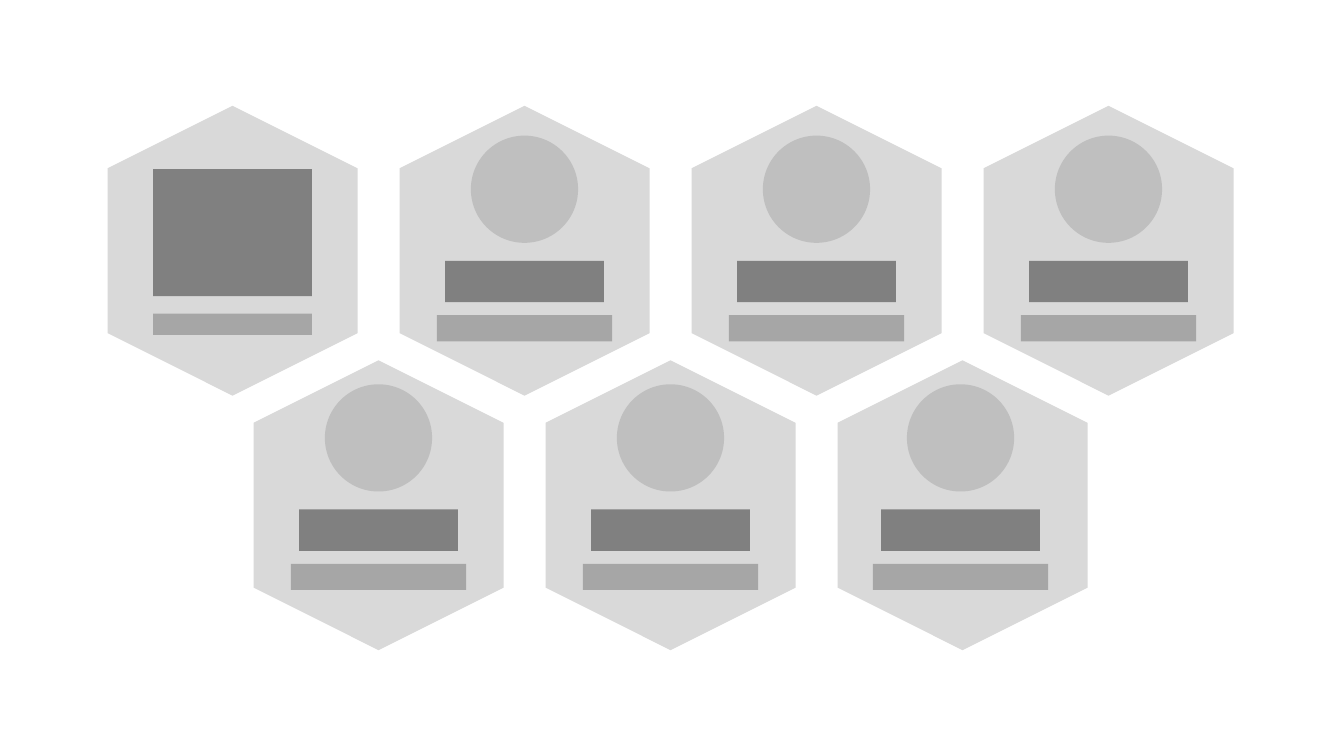
from pptx import Presentation
from pptx.dml.color import RGBColor
from pptx.enum.shapes import MSO_SHAPE
from pptx.util import Pt

HEXAGON, RECTANGLE, OVAL = MSO_SHAPE.HEXAGON, MSO_SHAPE.RECTANGLE, MSO_SHAPE.OVAL
PALE = RGBColor(0xD9, 0xD9, 0xD9)
LIGHT = RGBColor(0xBF, 0xBF, 0xBF)
MEDIUM = RGBColor(0xA6, 0xA6, 0xA6)
DARK = RGBColor(0x80, 0x80, 0x80)

FIRST_X, PITCH = 166.1, 208.57
HEX_LENGTH, HEX_WIDTH = 207, 178.6
# Hexagon count, start in pitches, hexagon centre y, portrait centre y
ROWS = [(4, 0, 179.1, 135.2), (3, 0.5, 360.9, 312.8)]
LAST_CARD_SHIFT = -1.4

# Shape, vertical offset of centre, width, height, colour
TITLE_PARTS = [
    (RECTANGLE, -12.9, 113.3, 90.6, DARK),
    (RECTANGLE, 52.6, 113.3, 15.2, MEDIUM),
]
CARD_PARTS = [
    (RECTANGLE, 65.9, 113.3, 29.6, DARK),
    (RECTANGLE, 99.3, 125.3, 18.7, MEDIUM),
    (OVAL, 0, 76.6, 76.6, LIGHT),
]


def add_centred(shapes, kind, x, y, width, height, colour):
    shape = shapes.add_shape(kind, Pt(x - width / 2), Pt(y - height / 2),
                             Pt(width), Pt(height))
    shape.shadow.inherit = False
    shape.fill.solid()
    shape.fill.fore_color.rgb = colour
    shape.line.fill.background()
    return shape


def add_parts(shapes, parts, x, y):
    for kind, offset, width, height, colour in parts:
        add_centred(shapes, kind, x, y + offset, width, height, colour)


def main():
    deck = Presentation()
    deck.slide_width, deck.slide_height = Pt(960), Pt(540)
    page = deck.slides.add_slide(deck.slide_layouts[6])

    cells = [(FIRST_X + (start + column) * PITCH, hex_y, portrait_y)
             for count, start, hex_y, portrait_y in ROWS
             for column in range(count)]
    for x, hex_y, _ in cells:
        hexagon = add_centred(page.shapes, HEXAGON, x, hex_y,
                              HEX_LENGTH, HEX_WIDTH, PALE)
        hexagon.rotation = 90

    title_x, title_y, _ = cells[0]
    add_parts(page.shapes, TITLE_PARTS, title_x, title_y)
    for cell in cells[1:]:
        x, _, portrait_y = cell
        if cell == cells[-1]:
            x += LAST_CARD_SHIFT
        card = page.shapes.add_group_shape()
        add_parts(card.shapes, CARD_PARTS, x, portrait_y)

    deck.save("out.pptx")


if __name__ == "__main__":
    main()
